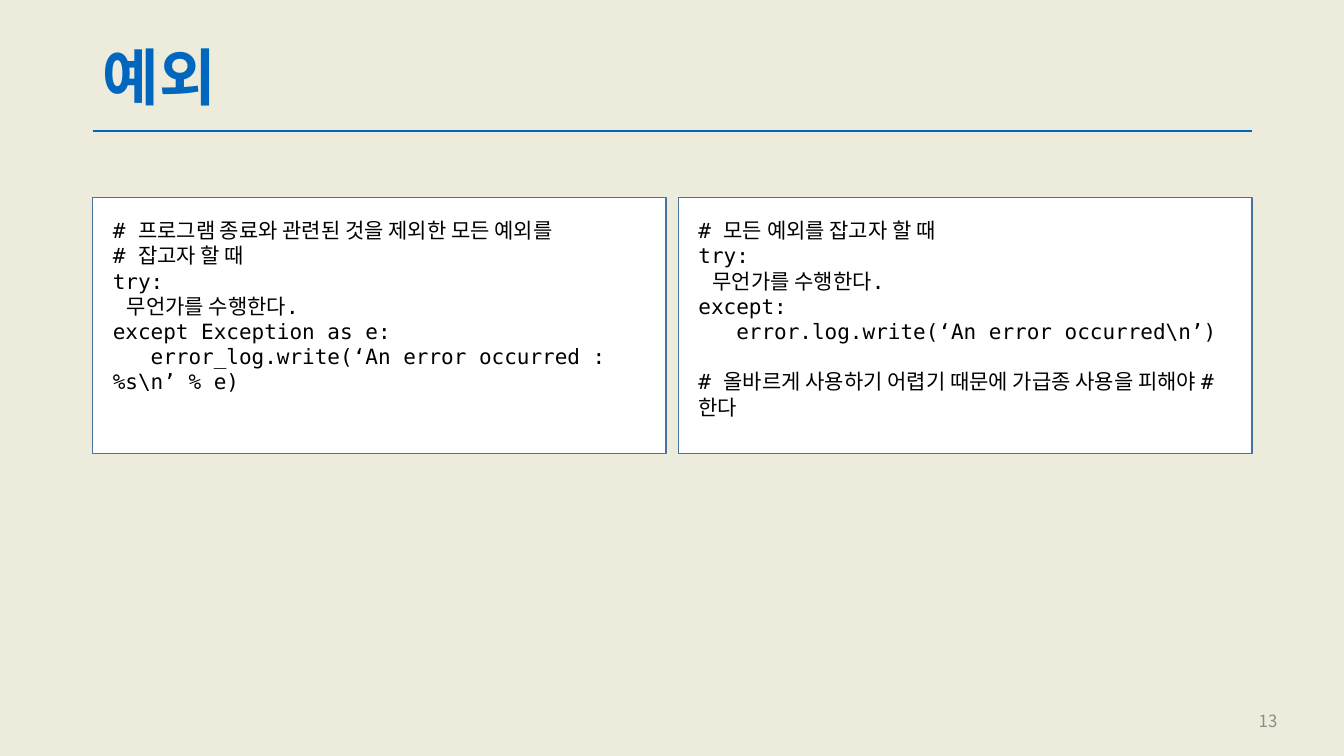
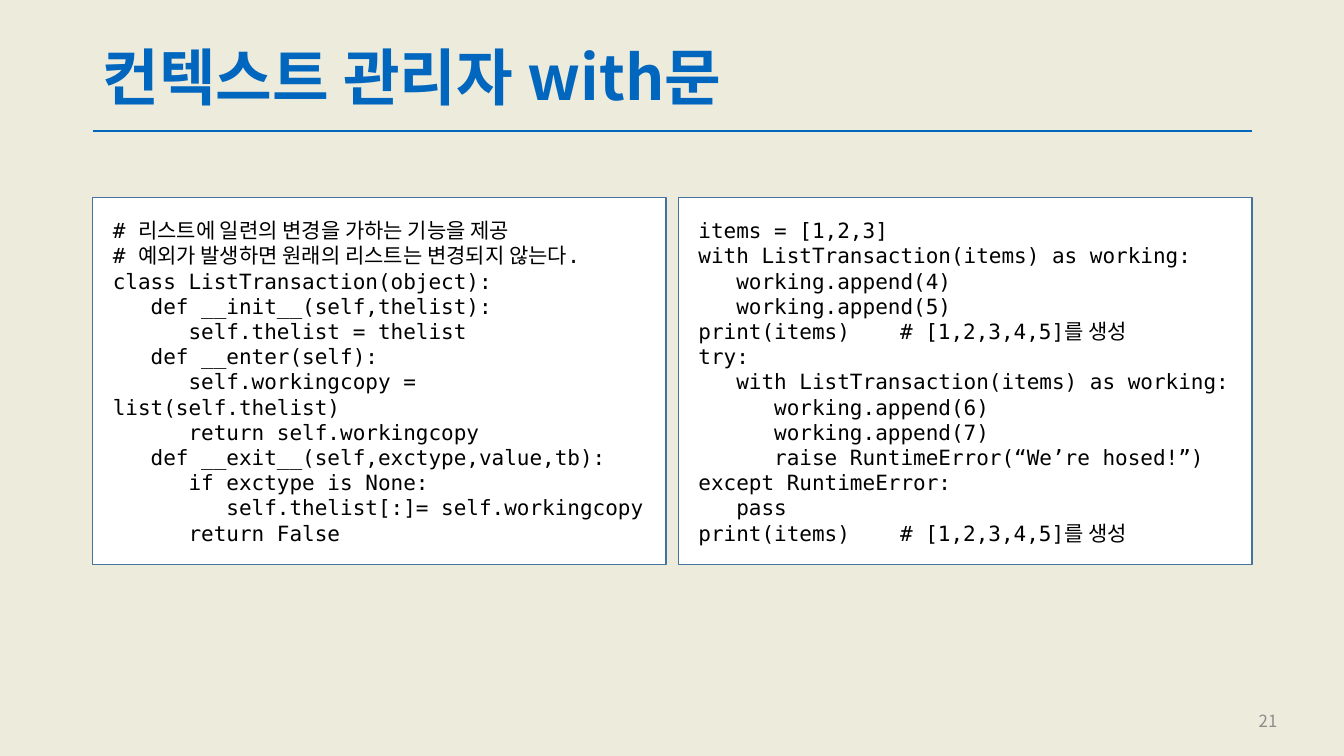
from lxml import etree
from pptx import Presentation
from pptx.dml.color import RGBColor
from pptx.enum.shapes import MSO_CONNECTOR, MSO_SHAPE
from pptx.enum.text import MSO_ANCHOR, PP_ALIGN
from pptx.oxml.ns import qn
from pptx.util import Pt

BLUE = RGBColor(0x00, 0x66, 0xBE)
EDGE = RGBColor(0x43, 0x73, 0x9E)
CREAM = RGBColor(0xEC, 0xEB, 0xDC)
WHITE = RGBColor(0xFF, 0xFF, 0xFF)
BLACK = RGBColor(0x00, 0x00, 0x00)
GRAY = RGBColor(0x8C, 0x8C, 0x8C)

SANS = "Noto Sans CJK KR"
MONO = "DejaVu Sans Mono"
LEFT, RIGHT = PP_ALIGN.LEFT, PP_ALIGN.RIGHT
TOP, MIDDLE = MSO_ANCHOR.TOP, MSO_ANCHOR.MIDDLE
RECT, STRAIGHT = MSO_SHAPE.RECTANGLE, MSO_CONNECTOR.STRAIGHT

# Grid, in points
EDGE_X, WIDTH, GAP = 66.2, 828, 8.6
CODE_Y, CODE_PAD, CODE_LINE = 141.1, 14.4, 18

CATCH_SOME = """\
# 프로그램 종료와 관련된 것을 제외한 모든 예외를
# 잡고자 할 때
try:
   무언가를 수행한다.
except Exception as e:
   error_log.write(‘An error occurred : %s\\n’ % e)"""

CATCH_ALL = """\
# 모든 예외를 잡고자 할 때
try:
   무언가를 수행한다.
except:
   error.log.write(‘An error occurred\\n’)

# 올바르게 사용하기 어렵기 때문에 가급종 사용을 피해야 # 한다"""

MANAGER = """\
# 리스트에 일련의 변경을 가하는 기능을 제공
# 예외가 발생하면 원래의 리스트는 변경되지 않는다.
class ListTransaction(object):
   def __init__(self,thelist):
      self.thelist = thelist
   def __enter(self):
      self.workingcopy = list(self.thelist)
      return self.workingcopy
   def __exit__(self,exctype,value,tb):
      if exctype is None:
         self.thelist[:]= self.workingcopy
      return False"""

USAGE = """\
items = [1,2,3]
with ListTransaction(items) as working:
   working.append(4)
   working.append(5)
print(items)\t# [1,2,3,4,5]를 생성
try:
   with ListTransaction(items) as working:
      working.append(6)
      working.append(7)
      raise RuntimeError(“We’re hosed!”)
except RuntimeError:
   pass
print(items)\t# [1,2,3,4,5]를 생성"""

# Title, page number, height of the code boxes, code
SLIDES = [
    ("예외", 13, 183, (CATCH_SOME, CATCH_ALL)),
    ("컨텍스트 관리자 with문", 21, 262, (MANAGER, USAGE)),
]


def style(para, face, size, color, bold=False, align=LEFT):
    para.alignment = align
    font = para.font
    font.name, font.size, font.bold = face, Pt(size), bold
    font.color.rgb = color
    # Korean letters always use the sans face
    props = para._p.pPr.find(qn("a:defRPr"))
    etree.SubElement(props, qn("a:ea"), typeface=SANS)


def add_label(slide, text, x, y, w, h, size, color, bold=False, align=LEFT):
    box = slide.shapes.add_textbox(Pt(x), Pt(y), Pt(w), Pt(h))
    frame = box.text_frame
    frame.word_wrap = True
    frame.vertical_anchor = MIDDLE
    para = frame.paragraphs[0]
    para.text = text
    style(para, SANS, size, color, bold, align)
    return para


def add_rule(slide, y):
    rule = slide.shapes.add_connector(
        STRAIGHT, Pt(EDGE_X), Pt(y), Pt(EDGE_X + WIDTH), Pt(y))
    rule.line.color.rgb = BLUE
    rule.line.width = Pt(1.5)
    etree.SubElement(rule._element.spPr, qn("a:effectLst"))


def add_code(slide, code, x, w, h):
    box = slide.shapes.add_shape(RECT, Pt(x), Pt(CODE_Y), Pt(w), Pt(h))
    box.shadow.inherit = False
    box.fill.solid()
    box.fill.fore_color.rgb = WHITE
    box.line.color.rgb = EDGE
    box.line.width = Pt(1)
    frame = box.text_frame
    frame.word_wrap = True
    frame.vertical_anchor = TOP
    frame.margin_left = frame.margin_right = Pt(CODE_PAD)
    frame.margin_top = frame.margin_bottom = Pt(CODE_PAD)
    # An empty code line becomes space above the next block
    for block_no, block in enumerate(code.split("\n\n")):
        for line_no, line in enumerate(block.split("\n")):
            first = block_no == line_no == 0
            para = frame.paragraphs[0] if first else frame.add_paragraph()
            para.text = line
            if block_no and not line_no:
                para.space_before = Pt(CODE_LINE)
            style(para, MONO, 15, BLACK)


def add_slide(prs, title, page, height, codes):
    slide = prs.slides.add_slide(prs.slide_layouts[6])
    # Shared frame
    add_rule(slide, 93.6)
    head = add_label(slide, title, EDGE_X, 28.8, WIDTH, 57.6, 44, BLUE, True)
    head.line_spacing = 0.9
    add_label(slide, str(page), 703.5, 500.4, 216, 28.8, 12, GRAY, align=RIGHT)
    # Code boxes side by side
    width = (WIDTH - GAP * (len(codes) - 1)) / len(codes)
    for col, code in enumerate(codes):
        add_code(slide, code, EDGE_X + col * (width + GAP), width, height)


def main():
    prs = Presentation()
    prs.slide_width, prs.slide_height = Pt(960), Pt(540)
    back = prs.slide_master.background.fill
    back.solid()
    back.fore_color.rgb = CREAM
    for content in SLIDES:
        add_slide(prs, *content)
    prs.save("out.pptx")


if __name__ == "__main__":
    main()
